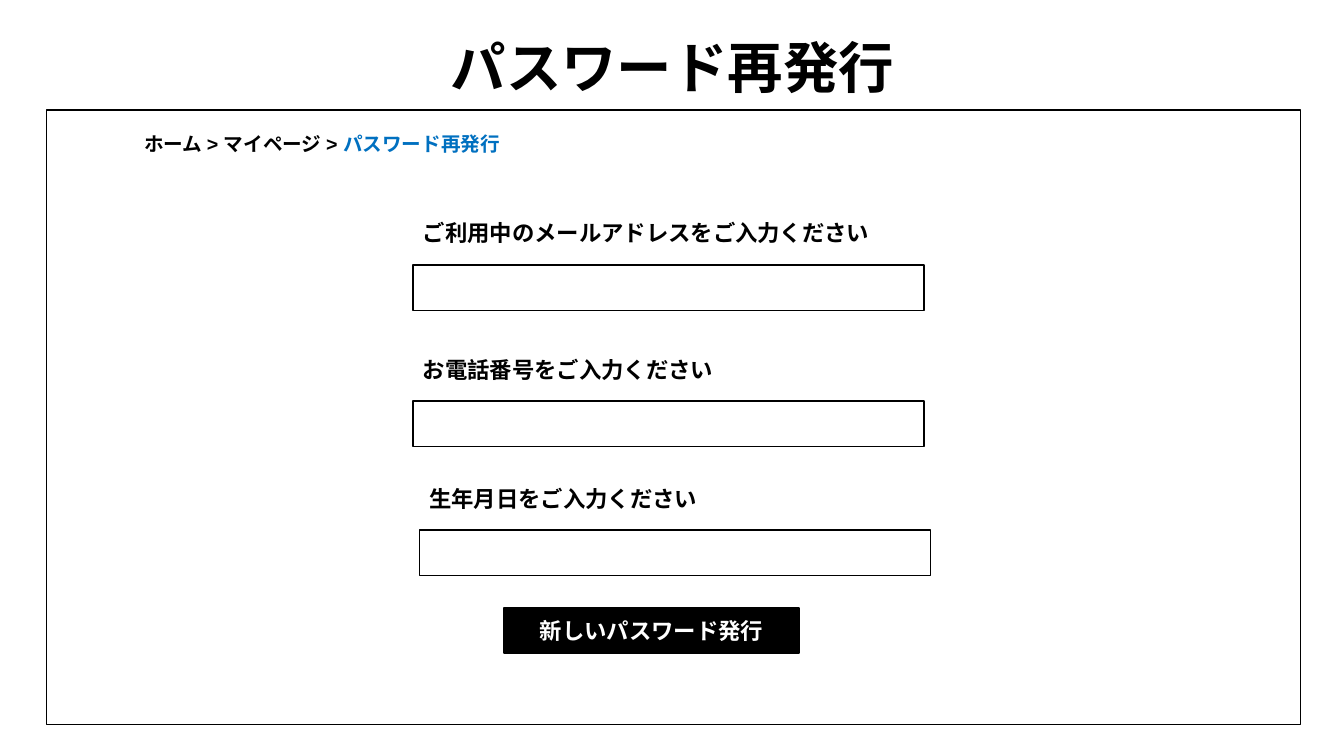
from pptx import Presentation
from pptx.dml.color import RGBColor
from pptx.enum.shapes import MSO_SHAPE
from pptx.enum.text import MSO_ANCHOR, PP_ALIGN
from pptx.util import Cm, Pt

RECT = MSO_SHAPE.RECTANGLE
MIDDLE = MSO_ANCHOR.MIDDLE
CENTER = PP_ALIGN.CENTER
BLACK = RGBColor(0x00, 0x00, 0x00)
WHITE = RGBColor(0xFF, 0xFF, 0xFF)
BLUE = RGBColor(0x00, 0x70, 0xC0)

prs = Presentation()
prs.slide_width, prs.slide_height = Cm(33.87), Cm(19.05)
slide = prs.slides.add_slide(prs.slide_layouts[5])


def add_box(left, top, width, height, fill):
    box = slide.shapes.add_shape(RECT, Cm(left), Cm(top), Cm(width), Cm(height))
    box.shadow.inherit = False
    box.fill.solid()
    box.fill.fore_color.rgb = fill
    box.line.color.rgb = BLACK
    box.line.width = Pt(1)
    return box


def style(run, size, color):
    font = run.font
    font.name, font.size, font.bold = "Arial", Pt(size), True
    font.color.rgb = color


# Page frame
add_box(1.17, 2.77, 31.6, 15.49, WHITE)

# Title
title = slide.shapes.title
title.left, title.top, title.width, title.height = Cm(2.34), Cm(1.02), Cm(29.21), Cm(1.52)
title.text_frame.text = "パスワード再発行"
title.text_frame.vertical_anchor = MIDDLE
para = title.text_frame.paragraphs[0]
para.alignment = CENTER
para.line_spacing = 0.9
style(para.runs[0], 39.6, BLACK)

# Breadcrumb
crumb = slide.shapes.add_textbox(Cm(3.38), Cm(3.2), Cm(15.8), Cm(0.86))
crumb.text_frame.word_wrap = True
para = crumb.text_frame.paragraphs[0]
for text, color in (("ホーム > マイページ > ", BLACK), ("パスワード再発行", BLUE)):
    run = para.add_run()
    run.text = text
    style(run, 14, color)

# Form fields: a label above each input box
FIELDS = (
    ("ご利用中のメールアドレスをご入力ください", 10.41, 5.41),
    ("お電話番号をご入力ください", 10.41, 8.84),
    ("生年月日をご入力ください", 10.57, 12.09),
)
for text, left, top in FIELDS:
    label = slide.shapes.add_textbox(Cm(left), Cm(top), Cm(12.88), Cm(0.94))
    label.text_frame.word_wrap = True
    label.text_frame.text = text
    style(label.text_frame.paragraphs[0].runs[0], 16, BLACK)
    add_box(left, top + 1.27, 12.88, 1.14, WHITE)

# Submit button
button = add_box(12.7, 15.32, 7.44, 1.14, BLACK)
button.text_frame.text = "新しいパスワード発行"
button.text_frame.vertical_anchor = MIDDLE
para = button.text_frame.paragraphs[0]
para.alignment = CENTER
style(para.runs[0], 16, WHITE)

prs.save("out.pptx")
